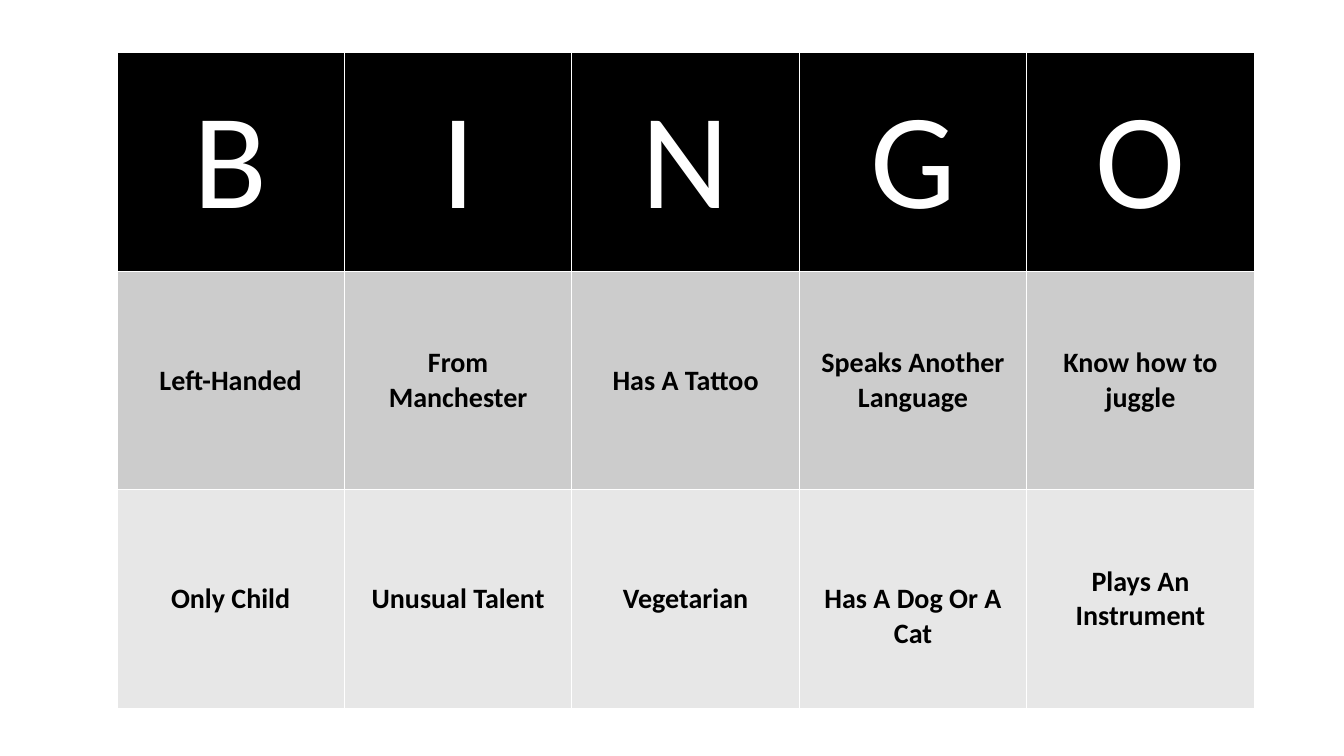
from dataclasses import dataclass

from pptx import Presentation
from pptx.dml.color import RGBColor as RGB
from pptx.enum.text import MSO_ANCHOR as Anchor, PP_ALIGN as Align
from pptx.util import Inches, Pt


@dataclass(frozen=True)
class Theme:
    font: str = "Calibri"
    black: RGB = RGB(0x00, 0x00, 0x00)
    white: RGB = RGB(0xFF, 0xFF, 0xFF)
    bands: tuple = (RGB(0xCC, 0xCC, 0xCC), RGB(0xE7, 0xE7, 0xE7))
    letter_size: int = 97
    square_size: int = 20


THEME = Theme()

# Card size and position, in inches
LEFT, TOP = 1.16, 0.52
COL_W, ROW_H = 2.256, 2.17
PAD_X, PAD_Y = 0.11, 0.05
LINE_H = 0.34

LETTERS = "BINGO"
SQUARES = [
    ["Left-Handed", "From Manchester", "Has A Tattoo",
     "Speaks Another Language", "Know how to juggle"],
    ["Only Child", "Unusual Talent", "Vegetarian",
     "Has A Dog Or A Cat", "Plays An Instrument"],
]
LOWERED = "Has A Dog Or A Cat"  # sits one line lower in its square


def fill_cell(cell, text, fill, color, size, bold):
    cell.fill.solid()
    cell.fill.fore_color.rgb = fill
    cell.vertical_anchor = Anchor.MIDDLE
    cell.margin_left = cell.margin_right = Inches(PAD_X)
    cell.margin_top = cell.margin_bottom = Inches(PAD_Y)
    p = cell.text_frame.paragraphs[0]
    p.text = text
    p.alignment = Align.CENTER
    p.font.name, p.font.size, p.font.bold = THEME.font, Pt(size), bold
    p.font.color.rgb = color


def add_card(s):
    # The default table style supplies the white rules
    rows, cols = len(SQUARES) + 1, len(LETTERS)
    table = s.shapes.add_table(rows, cols, Inches(LEFT), Inches(TOP),
                               Inches(COL_W * cols), Inches(ROW_H * rows)).table

    # Header letters
    for c, letter in enumerate(LETTERS):
        fill_cell(table.cell(0, c), letter, THEME.black, THEME.white,
                  THEME.letter_size, False)

    # Bingo squares
    for r, (texts, band) in enumerate(zip(SQUARES, THEME.bands), start=1):
        for c, text in enumerate(texts):
            cell = table.cell(r, c)
            fill_cell(cell, text, band, THEME.black, THEME.square_size, True)
            if text == LOWERED:
                cell.margin_top = Inches(PAD_Y + LINE_H)


def main():
    prs = Presentation()
    prs.slide_width, prs.slide_height = Inches(13.33), Inches(7.5)
    s = prs.slides.add_slide(prs.slide_layouts[6])
    add_card(s)
    prs.save("out.pptx")


main()
